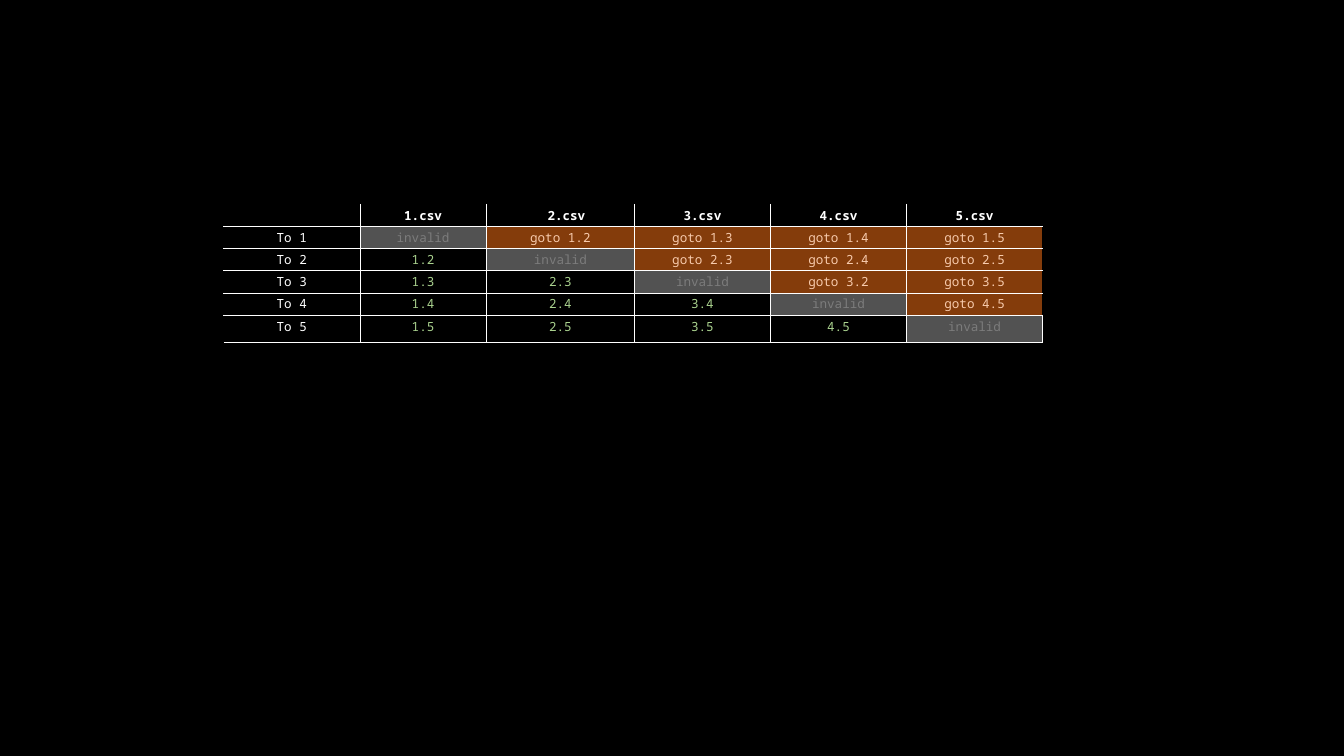
from lxml import etree
from pptx import Presentation
from pptx.dml.color import RGBColor
from pptx.enum.text import PP_ALIGN
from pptx.oxml.ns import qn
from pptx.util import Inches, Pt

CENTER = PP_ALIGN.CENTER
BLACK = RGBColor(0x00, 0x00, 0x00)
WHITE = RGBColor(0xFF, 0xFF, 0xFF)
GRAY = RGBColor(0x52, 0x52, 0x52)
LIGHT_GRAY = RGBColor(0x7C, 0x7C, 0x7C)
BROWN = RGBColor(0x84, 0x3C, 0x0B)
PEACH = RGBColor(0xF8, 0xCB, 0xAD)
GREEN = RGBColor(0xA9, 0xD1, 0x8E)
FONT = "Noto Sans Mono"
NO_STYLE = "{2D5ABB26-0587-4C30-8999-92F81FD0307C}"

FILES = 5
COLUMN_WIDTHS = [2.7, 2.51, 0.23, 2.7, 2.7, 2.7, 2.7]
ROW_HEIGHTS = [0.41, 0.41, 0.41, 0.41, 0.17, 0.53]
LAST_ROW = len(ROW_HEIGHTS) - 1
LAST_COLUMN = len(COLUMN_WIDTHS) - 1
SPECIAL_LABELS = {(3, 4): "goto 3.2"}


def write_text(cell, text, color=WHITE, bold=False, size=18):
    para = cell.text_frame.paragraphs[0]
    para.alignment = CENTER
    span = para.add_run()
    span.text = text
    span.font.name = FONT
    span.font.size = Pt(size)
    span.font.bold = bold
    span.font.color.rgb = color


def border_colors(row, column):
    outer = None if row == LAST_ROW else BLACK
    left = outer if column == 0 else WHITE
    right = outer if column == LAST_COLUMN else WHITE
    if row == 0 and column == 2:
        right = BLACK
    if row == 0 and column == 3:
        left = BLACK
    return {"lnL": left, "lnR": right,
            "lnT": BLACK if row == 0 else WHITE, "lnB": WHITE}


def draw_borders(cell, colors):
    properties = cell._tc.get_or_add_tcPr()
    for side, color in colors.items():
        if color is not None:
            line = etree.SubElement(properties, qn("a:" + side), w=str(Pt(1)))
            fill = etree.SubElement(line, qn("a:solidFill"))
            etree.SubElement(fill, qn("a:srgbClr"), val=str(color))


def describe_pair(target, file):
    if target == file:
        return "invalid", LIGHT_GRAY, GRAY
    if target < file:
        label = SPECIAL_LABELS.get((target, file), f"goto {target}.{file}")
        return label, PEACH, BROWN
    return f"{file}.{target}", GREEN, None


def add_conversion_table(page, left, top, width, height):
    frame = page.shapes.add_table(len(ROW_HEIGHTS), len(COLUMN_WIDTHS),
                                  Inches(left), Inches(top),
                                  Inches(width), Inches(height))
    table = frame.table
    table.first_row = False
    table.horz_banding = False
    table._tbl.tblPr.find(qn("a:tableStyleId")).text = NO_STYLE
    for column, size in zip(table.columns, COLUMN_WIDTHS):
        column.width = Inches(size)
    for row, size in zip(table.rows, ROW_HEIGHTS):
        row.height = Inches(size)

    for row in range(len(ROW_HEIGHTS)):
        for column in range(len(COLUMN_WIDTHS)):
            cell = table.cell(row, column)
            draw_borders(cell, border_colors(row, column))
            cell.fill.background()

    for file in range(1, FILES + 1):
        column = 1 if file == 1 else file + 1
        write_text(table.cell(0, column), f"{file}.csv", bold=True)
    for target in range(1, FILES + 1):
        write_text(table.cell(target, 0), f"To {target}")
        table.cell(target, 2).merge(table.cell(target, 3))
        for file in range(1, FILES + 1):
            label, color, fill = describe_pair(target, file)
            cell = table.cell(target, file if file < 3 else file + 1)
            write_text(cell, label, color=color)
            if fill is not None:
                cell.fill.solid()
                cell.fill.fore_color.rgb = fill


deck = Presentation()
deck.slide_width = Inches(26.67)
deck.slide_height = Inches(15)
page = deck.slides.add_slide(deck.slide_layouts[6])
page.background.fill.solid()
page.background.fill.fore_color.rgb = BLACK
add_conversion_table(page, 4.44, 4.05, 16.25, 4.2)
deck.save("out.pptx")
